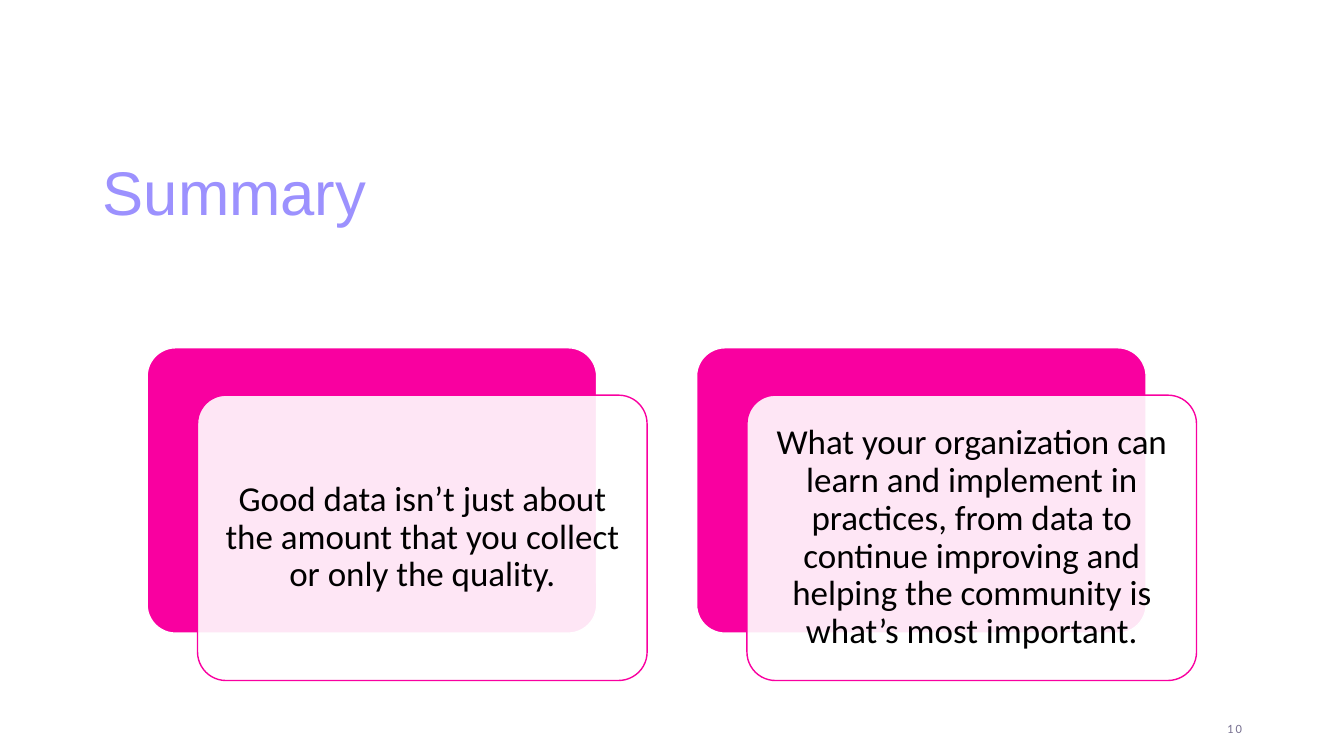
from dataclasses import dataclass

from lxml import etree
from pptx import Presentation
from pptx.dml.color import RGBColor
from pptx.enum import shapes, text
from pptx.oxml import ns
from pptx.util import Inches, Pt


@dataclass(frozen=True)
class Theme:
    accent: str = "F900A0"
    surface: str = "FFFFFF"
    title: str = "9C91FE"
    body: str = "000000"
    muted: str = "797292"
    title_font: str = "Arial"
    body_font: str = "Calibri"
    title_size: int = 44
    body_size: int = 25
    number_size: int = 9


class SlideBuilder:
    """Holds the theme and the current slide; lengths are percent of the slide."""

    def __init__(self, deck, theme):
        self.deck, self.theme = deck, theme
        self.page = deck.slides.add_slide(deck.slide_layouts[5])

    def area(self, left, top, width, height):
        across, down = self.deck.slide_width / 100, self.deck.slide_height / 100
        return [round(share * unit) for share, unit in
                zip((left, top, width, height), (across, down, across, down))]

    def set_words(self, box, words, size, font, color, align, line_spacing=0.9):
        frame = box.text_frame
        frame.text = words
        frame.word_wrap = True
        frame.auto_size = text.MSO_AUTO_SIZE.NONE
        frame.vertical_anchor = text.MSO_ANCHOR.MIDDLE
        para = frame.paragraphs[0]
        para.alignment, para.line_spacing = align, line_spacing
        span = para.runs[0]
        span.font.size, span.font.name = Pt(size), font
        span.font.color.rgb = RGBColor.from_string(color)

    def title(self, words, place):
        box = self.page.shapes.title
        box.left, box.top, box.width, box.height = self.area(*place)
        self.set_words(box, words, self.theme.title_size, self.theme.title_font,
                       self.theme.title, text.PP_ALIGN.LEFT)

    def panel(self, place, fill, line, opacity=100):
        box = self.page.shapes.add_shape(
            shapes.MSO_SHAPE.ROUNDED_RECTANGLE, *self.area(*place))
        box.adjustments[0] = 0.1
        box.shadow.inherit = False
        box.fill.solid()
        box.fill.fore_color.rgb = RGBColor.from_string(fill)
        box.line.color.rgb = RGBColor.from_string(line)
        box.line.width = Pt(1)
        if opacity < 100:
            # The fill colour is the first colour in the shape
            color = next(box.element.iter(ns.qn("a:srgbClr")))
            etree.SubElement(color, ns.qn("a:alpha"), val=str(opacity * 1000))
        return box

    def card(self, words, left, top, width, height, shift):
        theme = self.theme
        self.panel((left, top, width, height), theme.accent, theme.surface)
        front = self.panel((left + shift[0], top + shift[1], width, height),
                           theme.surface, theme.accent, opacity=90)
        frame = front.text_frame
        frame.margin_left = frame.margin_right = Inches(0.1)
        frame.margin_top = frame.margin_bottom = Inches(0.1)
        self.set_words(front, words, theme.body_size, theme.body_font,
                       theme.body, text.PP_ALIGN.CENTER)

    def page_number(self, number, place):
        box = self.page.shapes.add_textbox(*self.area(*place))
        self.set_words(box, number, self.theme.number_size, self.theme.body_font,
                       self.theme.muted, text.PP_ALIGN.RIGHT, line_spacing=1.0)
        # Letter spacing in hundredths of a point
        next(box.element.iter(ns.qn("a:rPr"))).set("spc", "150")


deck = Presentation()
deck.slide_width, deck.slide_height = Inches(13.33), Inches(7.5)
slide = SlideBuilder(deck, Theme())

# Heading
slide.title("Summary", (6.9, 8.93, 86.25, 33.87))

# Summary cards, evenly spaced across the slide
CARD_LEFT, CARD_STEP = 10.95, 40.88
MESSAGES = (
    "Good data isn’t just about the amount that you collect or only the quality.",
    "What your organization can learn and implement in practices, from data to "
    "continue improving and helping the community is what’s most important.",
)
for index, message in enumerate(MESSAGES):
    slide.card(message, CARD_LEFT + index * CARD_STEP, 46, 33.45, 37.75,
               shift=(3.75, 6.27))

# Footer
slide.page_number("10", (70.65, 93.73, 22.5, 5.33))

deck.save("out.pptx")
